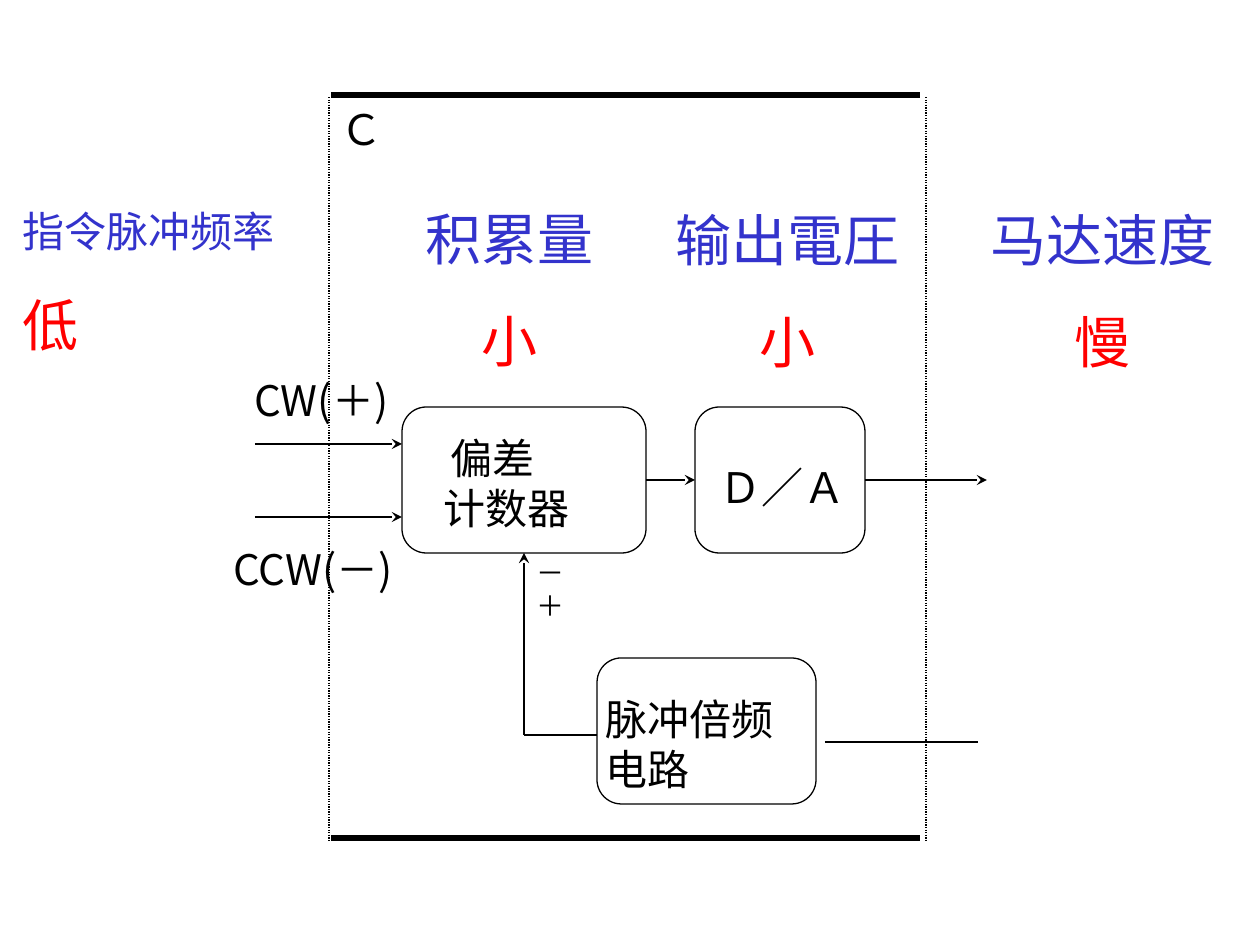
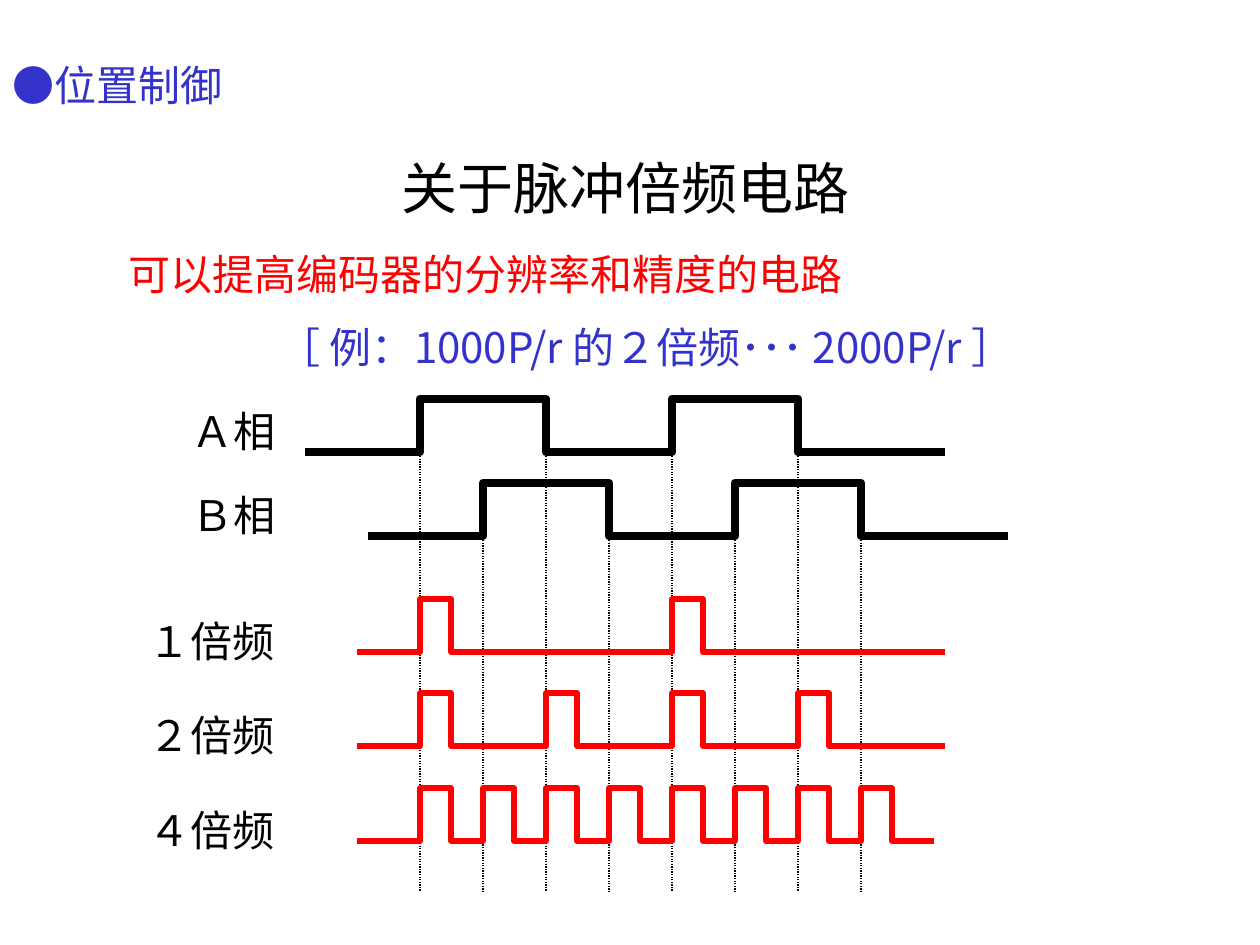
from dataclasses import dataclass
from typing import Any, Optional

import lxml.etree
import pptx
import pptx.dml.color
import pptx.enum.dml
import pptx.enum.shapes
import pptx.enum.text
import pptx.oxml.ns
import pptx.util

SCALE = 914400 / 126  # EMU in one px
LEFT = pptx.enum.text.PP_ALIGN.LEFT
MID = pptx.enum.text.PP_ALIGN.CENTER
TOP_SIDE, LEFT_SIDE, LOW_SIDE, RIGHT_SIDE = range(4)


@dataclass(frozen=True)
class Theme:
    black: str = "000000"
    white: str = "FFFFFF"
    blue: str = "3333CC"
    red: str = "FF0000"
    sans: str = "Noto Sans CJK JP"
    serif: str = "TeX Gyre Schola"
    large: int = 32
    body: int = 24
    small: int = 16
    thin: float = 0.75
    bold: int = 3
    heavy: int = 5


THEME = Theme()


@dataclass(frozen=True)
class Line:
    text: str
    color: str = THEME.black
    size: int = THEME.body
    font: str = THEME.sans
    gap: int = 0
    indent: int = 0


@dataclass(frozen=True)
class Note:
    left: int
    top: int
    width: int
    height: int
    lines: tuple[Line, ...]
    align: Any = LEFT


@dataclass(frozen=True)
class Wire:
    x1: int
    y1: int
    x2: int
    y2: int
    weight: float = THEME.thin
    arrow: bool = False
    dotted: bool = False


@dataclass(frozen=True)
class Wave:
    start: int
    end: int
    top: int
    rises: tuple[int, ...]
    width: int
    color: str
    weight: int


def px(length: float) -> int:
    return round(length * SCALE)


def tint(code: str) -> pptx.dml.color.RGBColor:
    return pptx.dml.color.RGBColor.from_string(code)


def put(target: Any, values: dict[str, Any]) -> None:
    for name, value in values.items():
        setattr(target, name, value)


def add_tag(parent: Any, tag: str, **values: str) -> None:
    lxml.etree.SubElement(parent, pptx.oxml.ns.qn(tag), **values)


def stroke(line: Any, color: str, weight: float) -> None:
    line.color.rgb = tint(color)
    line.width = pptx.util.Pt(weight)


def write(frame: Any, note: Note) -> None:
    put(frame, {
        "word_wrap": True,
        "auto_size": pptx.enum.text.MSO_AUTO_SIZE.NONE,
        "vertical_anchor": pptx.enum.text.MSO_ANCHOR.TOP,
        "margin_left": pptx.util.Inches(0.1),
        "margin_right": pptx.util.Inches(0.1),
        "margin_top": pptx.util.Inches(0.05),
        "margin_bottom": pptx.util.Inches(0.05),
    })
    for index, line in enumerate(note.lines):
        para = frame.add_paragraph() if index else frame.paragraphs[0]
        put(para, {"alignment": note.align, "space_before": pptx.util.Pt(line.gap)})
        if line.indent:
            para._p.get_or_add_pPr().set("marL", str(px(line.indent)))
        run = para.add_run()
        run.text = line.text
        put(run.font, {"name": line.font, "size": pptx.util.Pt(line.size)})
        run.font.color.rgb = tint(line.color)
        add_tag(run._r.get_or_add_rPr(), "a:ea", typeface=line.font)


def add_note(slide: Any, note: Note) -> None:
    box = slide.shapes.add_textbox(px(note.left), px(note.top), px(note.width), px(note.height))
    write(box.text_frame, note)


def set_title(slide: Any, note: Note) -> None:
    title = slide.shapes.title
    put(title, {"left": px(note.left), "top": px(note.top),
                "width": px(note.width), "height": px(note.height)})
    write(title.text_frame, note)


def add_block(slide: Any, left: int, top: int, width: int, height: int = 146) -> Any:
    block = slide.shapes.add_shape(
        pptx.enum.shapes.MSO_SHAPE.ROUNDED_RECTANGLE, px(left), px(top), px(width), px(height))
    block.shadow.inherit = False
    block.fill.solid()
    block.fill.fore_color.rgb = tint(THEME.white)
    stroke(block.line, THEME.black, THEME.thin)
    return block


def add_wire(slide: Any, wire: Wire, source: Optional[tuple[Any, int]] = None,
             target: Optional[tuple[Any, int]] = None) -> None:
    """Draw a straight line; source and target are (block, side) pairs to join."""
    link = slide.shapes.add_connector(
        pptx.enum.shapes.MSO_CONNECTOR.STRAIGHT,
        px(wire.x1), px(wire.y1), px(wire.x2), px(wire.y2))
    if source:
        link.begin_connect(*source)
    if target:
        link.end_connect(*target)
    stroke(link.line, THEME.black, wire.weight)
    if wire.dotted:
        link.line.dash_style = pptx.enum.dml.MSO_LINE.ROUND_DOT
    if wire.arrow:
        add_tag(link.line._get_or_add_ln(), "a:tailEnd", type="stealth")
    add_tag(link._element.spPr, "a:effectLst")


def add_wave(slide: Any, wave: Wave, rise: int = 53) -> None:
    """Draw a square wave that goes up at each of the rises."""
    base = wave.top + rise
    points = []
    for x in wave.rises:
        fall = x + wave.width
        points += [(x, base), (x, wave.top), (fall, wave.top), (fall, base)]
    pen = slide.shapes.build_freeform(wave.start, base, scale=SCALE)
    pen.add_line_segments(points + [(wave.end, base)], close=False)
    shape = pen.convert_to_shape()
    shape.shadow.inherit = False
    shape.fill.background()
    stroke(shape.line, wave.color, wave.weight)


def state(name: str, value: str, size: int = THEME.large) -> tuple[Line, Line]:
    """Pair a blue quantity with its red value."""
    return (Line(name, THEME.blue, size), Line(value, THEME.red, THEME.large, gap=20))


def draw_loop(slide: Any) -> None:
    """Draw the control loop at low pulse rate."""
    for x in (329, 926):
        add_wire(slide, Wire(x, 97, x, 840, dotted=True))
    for y in (95, 838):
        add_wire(slide, Wire(331, y, 920, y, THEME.bold))

    count = add_block(slide, 402, 407, 244)
    d_to_a = add_block(slide, 695, 407, 170)
    add_block(slide, 597, 658, 219)

    for y in (444, 517):
        add_wire(slide, Wire(255, y, 402, y, arrow=True))
    add_wire(slide, Wire(646, 480, 695, 480, arrow=True),
             (count, RIGHT_SIDE), (d_to_a, LEFT_SIDE))
    add_wire(slide, Wire(865, 480, 987, 480, arrow=True), (d_to_a, RIGHT_SIDE))
    add_wire(slide, Wire(597, 735, 524, 735))
    add_wire(slide, Wire(524, 735, 524, 553, arrow=True), target=(count, LOW_SIDE))
    add_wire(slide, Wire(825, 742, 978, 742))

    sign = {"size": THEME.small, "font": THEME.serif}
    for note in (
        Note(328, 97, 118, 63, (Line("Ｃ"),)),
        Note(431, 426, 231, 110,
             (Line("偏差", indent=7), Line("计数器", font=THEME.serif))),
        Note(707, 455, 185, 57, (Line("Ｄ／Ａ", font=THEME.serif),)),
        Note(593, 687, 226, 101, (Line("脉冲倍频电路"),)),
        Note(242, 368, 195, 72, (Line("CW(＋)"),)),
        Note(221, 537, 233, 63, (Line("CCW(－)"),)),
        Note(524, 549, 92, 108, (Line("－", **sign), Line("＋", **sign))),
        Note(10, 199, 325, 165, state("指令脉冲频率", "低", THEME.body)),
        Note(368, 198, 284, 183, state("积累量", "小"), MID),
        Note(662, 199, 252, 183, state("输出電圧", "小"), MID),
        Note(945, 199, 315, 183, state("马达速度", "慢"), MID),
    ):
        add_note(slide, note)


def draw_pulse(slide: Any) -> None:
    """Draw the phase waves and the pulses made from their edges."""
    set_title(slide, Note(158, 147, 935, 81, (Line("关于脉冲倍频电路", size=THEME.large),), MID))
    for note in (
        Note(0, 53, 290, 63, (Line("●位置制御", THEME.blue),)),
        Note(116, 242, 1040, 63, (Line("可以提高编码器的分辨率和精度的电路", THEME.red),)),
        Note(210, 315, 872, 63,
             (Line("［ 例：1000P/r 的２倍频･･･ 2000P/r ］", THEME.blue),), MID),
    ):
        add_note(slide, note)

    step = 63
    edges = tuple(420 + step * i for i in range(8))
    for name, top, start, first in (("Ａ相", 399, 305, 0), ("Ｂ相", 483, 368, 1)):
        add_note(slide, Note(179, top, 136, 63, (Line(name),)))
        add_wave(slide, Wave(start, start + 640, top, edges[first::4], 2 * step,
                             THEME.black, THEME.heavy))

    for i, x in enumerate(edges):
        add_wire(slide, Wire(x, 535 if i % 2 else 451, x, 892, dotted=True))

    for name, top, skip, end in (
            ("１倍频", 599, 4, 945), ("２倍频", 693, 2, 945), ("４倍频", 788, 1, 934)):
        add_note(slide, Note(136, top + 10, 210, 63, (Line(name),)))
        add_wave(slide, Wave(357, end, top, edges[::skip], step // 2, THEME.red, THEME.bold))


def main() -> None:
    deck = pptx.Presentation()
    put(deck, {"slide_width": px(1260), "slide_height": px(945)})
    title_only, blank = deck.slide_layouts[5], deck.slide_layouts[6]
    draw_loop(deck.slides.add_slide(blank))
    draw_pulse(deck.slides.add_slide(title_only))
    deck.save("out.pptx")


if __name__ == "__main__":
    main()
